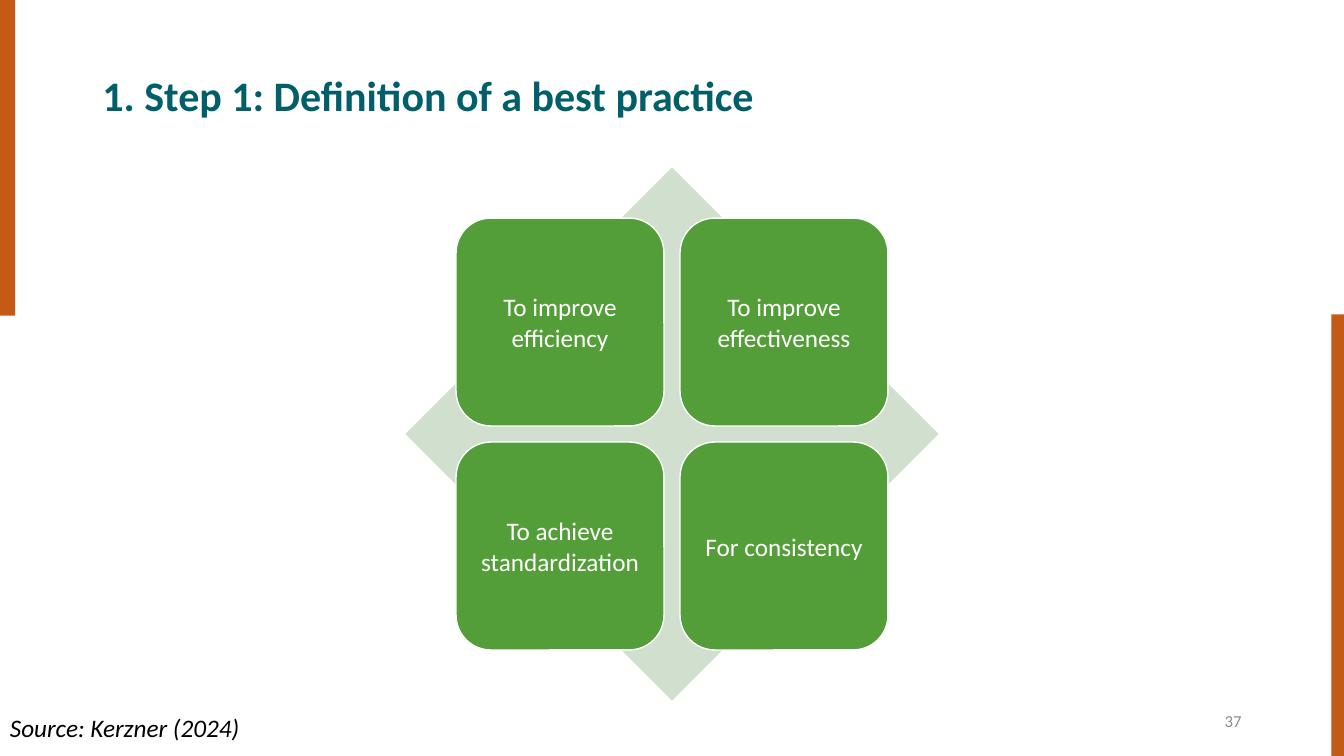
from pptx import Presentation
from pptx.dml.color import RGBColor
from pptx.enum import shapes, text
from pptx.util import Pt

COLORS = {
    "bar": "C45A15",
    "title": "005F69",
    "diamond": "D1DFCE",
    "tile": "549E39",
    "white": "FFFFFF",
    "number": "8C8C8C",
    "source": "000000",
}
FONT = "Calibri"
SLIDE_WIDTH, SLIDE_HEIGHT = 960, 540

GOALS = [
    ["To improve efficiency", "To improve effectiveness"],
    ["To achieve standardization", "For consistency"],
]
TILE_SIZE, TILE_GAP = 148.5, 11.5
DIAMOND_SIZE = 381
CENTER_X, CENTER_Y = SLIDE_WIDTH / 2, 310


def color(name):
    return RGBColor.from_string(COLORS[name])


def write(shape, content, size, color_name, align=text.PP_ALIGN.LEFT,
          anchor=text.MSO_ANCHOR.MIDDLE, bold=False, italic=False):
    """Fill a shape with one formatted paragraph and return the paragraph."""
    frame = shape.text_frame
    frame.text = content
    frame.word_wrap = True
    frame.vertical_anchor = anchor
    paragraph = frame.paragraphs[0]
    paragraph.alignment = align
    font = paragraph.runs[0].font
    font.name, font.size = FONT, Pt(size)
    font.bold, font.italic = bold, italic
    font.color.rgb = color(color_name)
    return paragraph


def add_block(slide, kind, left, top, width, height, fill):
    """Add a filled preset shape without outline or shadow."""
    shape = slide.shapes.add_shape(kind, Pt(left), Pt(top), Pt(width), Pt(height))
    shape.shadow.inherit = False
    shape.fill.solid()
    shape.fill.fore_color.rgb = color(fill)
    shape.line.fill.background()
    return shape


def add_title(slide, content):
    title = slide.shapes.title
    title.left, title.top, title.width, title.height = Pt(66), Pt(28.75), Pt(828), Pt(83)
    paragraph = write(title, content, 30, "title", bold=True)
    paragraph.line_spacing = 0.9


def add_tile(slide, left, top, content):
    tile = add_block(slide, shapes.MSO_SHAPE.ROUNDED_RECTANGLE,
                     left, top, TILE_SIZE, TILE_SIZE, "tile")
    tile.line.color.rgb = color("white")
    tile.line.width = Pt(1)
    frame = tile.text_frame
    frame.margin_left = frame.margin_right = Pt(5)
    frame.margin_top = frame.margin_bottom = Pt(5)
    write(tile, content, 18, "white", text.PP_ALIGN.CENTER)


def add_goal_matrix(slide):
    """Add the diamond and the grid of tiles centred on it."""
    add_block(slide, shapes.MSO_SHAPE.DIAMOND, CENTER_X - DIAMOND_SIZE / 2,
              CENTER_Y - DIAMOND_SIZE / 2, DIAMOND_SIZE, DIAMOND_SIZE, "diamond")
    step = TILE_SIZE + TILE_GAP
    first = TILE_SIZE + TILE_GAP / 2
    for row, goals in enumerate(GOALS):
        for column, goal in enumerate(goals):
            add_tile(slide, CENTER_X - first + column * step,
                     CENTER_Y - first + row * step, goal)


def add_label(slide, left, top, width, height, content, size, color_name, **style):
    box = slide.shapes.add_textbox(Pt(left), Pt(top), Pt(width), Pt(height))
    write(box, content, size, color_name, **style)


def main():
    presentation = Presentation()
    presentation.slide_width, presentation.slide_height = Pt(SLIDE_WIDTH), Pt(SLIDE_HEIGHT)
    slide = presentation.slides.add_slide(presentation.slide_layouts[5])

    # Side bars
    add_block(slide, shapes.MSO_SHAPE.RECTANGLE, 0, 0, 10.75, 225.5, "bar")
    add_block(slide, shapes.MSO_SHAPE.RECTANGLE, 951, 224.5, 9, 315.5, "bar")

    # Title and goals
    add_title(slide, "1. Step 1: Definition of a best practice")
    add_goal_matrix(slide)

    # Slide number and source
    add_label(slide, 678, 500.5, 216, 28.75, "37", 12, "number",
              align=text.PP_ALIGN.RIGHT)
    add_label(slide, 0, 505, 274, 29, "Source: Kerzner (2024)", 18, "source",
              anchor=text.MSO_ANCHOR.TOP, italic=True)

    presentation.save("out.pptx")


if __name__ == "__main__":
    main()
